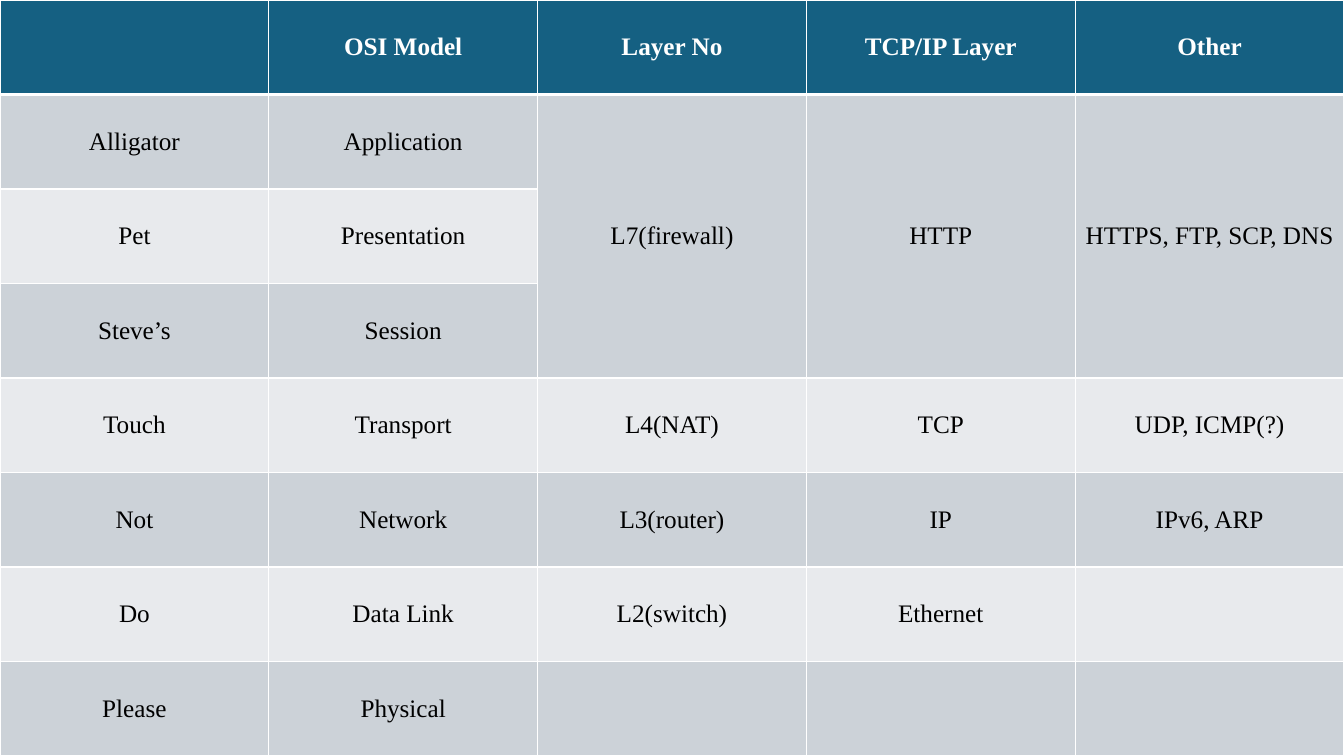
from dataclasses import dataclass

from lxml import etree
from pptx import Presentation
from pptx import util as u
from pptx.dml.color import RGBColor
from pptx.enum import text
from pptx.oxml.ns import qn
from pptx.table import _Cell

WIDTH, HEIGHT = 33.87, 19.05
FONT = "Times New Roman"
WHITE, BLACK = "FFFFFF", "000000"
HEAD, DARK, LIGHT = "156082", "CCD2D8", "E8EAED"
THIN, THICK = 1, 3


@dataclass
class Layer:
    cells: tuple[str, ...]
    span: int = 1


LAYERS = [
    Layer(("", "OSI Model", "Layer No", "TCP/IP Layer", "Other")),
    Layer(("Alligator", "Application", "L7(firewall)", "HTTP", "HTTPS, FTP, SCP, DNS"), 3),
    Layer(("Pet", "Presentation")),
    Layer(("Steve’s", "Session")),
    Layer(("Touch", "Transport", "L4(NAT)", "TCP", "UDP, ICMP(?)")),
    Layer(("Not", "Network", "L3(router)", "IP", "IPv6, ARP")),
    Layer(("Do", "Data Link", "L2(switch)", "Ethernet", "")),
    Layer(("Please", "Physical", "", "", "")),
]
FIRST_MERGED = 2


def color(code: str) -> RGBColor:
    return RGBColor.from_string(code)


def paint(cell: _Cell, fill: str, top: int, bottom: int) -> None:
    cell.fill.solid()
    cell.fill.fore_color.rgb = color(fill)
    props = cell._tc.get_or_add_tcPr()
    edges = {"lnL": THIN, "lnR": THIN, "lnT": top, "lnB": bottom}
    for place, (tag, points) in enumerate(edges.items()):
        line = etree.Element(qn(f"a:{tag}"), w=str(u.Pt(points)))
        solid = etree.SubElement(line, qn("a:solidFill"))
        etree.SubElement(solid, qn("a:srgbClr"), val=WHITE)
        props.insert(place, line)


def write(cell: _Cell, words: str, ink: str, bold: bool) -> None:
    cell.text_frame.text = words
    cell.vertical_anchor = text.MSO_ANCHOR.MIDDLE
    line = cell.text_frame.paragraphs[0]
    line.alignment = text.PP_ALIGN.CENTER
    for run in line.runs:
        run.font.name = FONT
        run.font.size = u.Pt(18)
        run.font.bold = bold
        run.font.color.rgb = color(ink)


def main() -> None:
    deck = Presentation()
    deck.slide_width, deck.slide_height = u.Cm(WIDTH), u.Cm(HEIGHT)
    slide = deck.slides.add_slide(deck.slide_layouts[6])
    count = len(LAYERS[0].cells)
    grid = slide.shapes.add_table(
        len(LAYERS), count, 0, 0, u.Cm(WIDTH), u.Cm(HEIGHT)
    ).table

    for row, layer in enumerate(LAYERS):
        head = row == 0
        fill = HEAD if head else DARK if row % 2 else LIGHT
        top = THICK if row == 1 else THIN
        bottom = THICK if head else THIN
        for col in range(count):
            paint(grid.cell(row, col), fill, top, bottom)
        for col, words in enumerate(layer.cells):
            write(grid.cell(row, col), words, WHITE if head else BLACK, head)
        if layer.span > 1:
            for col in range(FIRST_MERGED, count):
                grid.cell(row, col).merge(grid.cell(row + layer.span - 1, col))

    deck.save("out.pptx")


if __name__ == "__main__":
    main()
